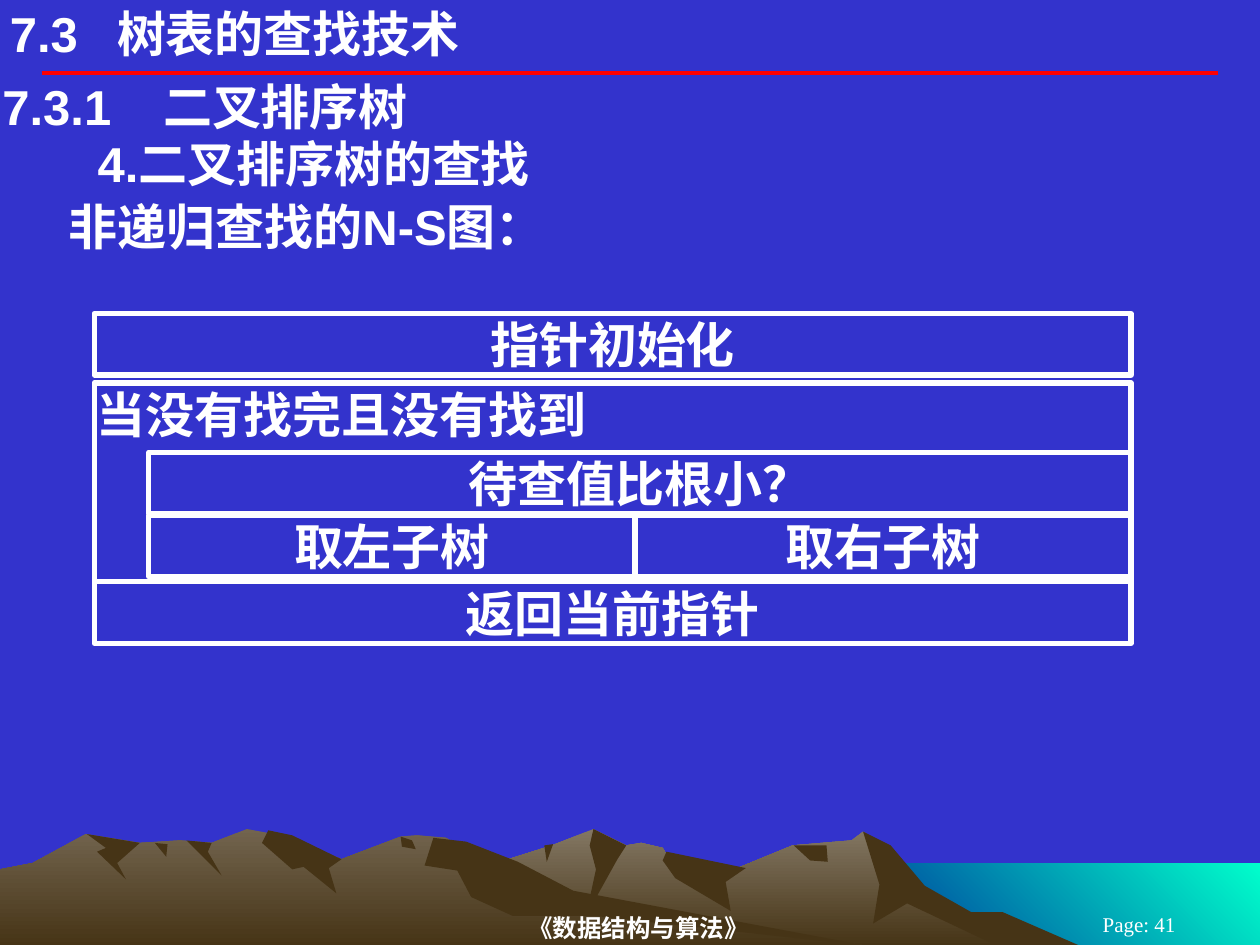
from dataclasses import dataclass
from typing import Optional

import pptx
import pptx.dml.color
import pptx.enum.shapes
import pptx.enum.text
import pptx.oxml.ns
import pptx.shapes.autoshape
import pptx.slide
import pptx.util
from lxml import etree
from pptx.util import Cm

RGBColor = pptx.dml.color.RGBColor
Align = pptx.enum.text.PP_ALIGN
Anchor = pptx.enum.text.MSO_ANCHOR

BLUE = RGBColor.from_string("3333CC")
WHITE = RGBColor.from_string("FFFFFF")
RED = RGBColor.from_string("FF0000")
AQUA = RGBColor.from_string("00FFCC")
NAVY = RGBColor.from_string("003399")
DARK_ROCK = RGBColor.from_string("463416")
GREY_ROCK = RGBColor.from_string("837763")
BROWN_ROCK = RGBColor.from_string("72644E")

LAND_UNIT = Cm(0.0254)  # landscape outlines count in hundredths of an inch
SLIDE_WIDTH = 25.4
ROW_HEIGHT = 1.24
OUTER_LEFT, INNER_LEFT, BRANCH_LEFT, DIAGRAM_RIGHT = 1.9, 3, 12.8, 22.8
LOOP_TOP, RETURN_TOP = 7.72, 11.73


@dataclass
class Land:
    """An outline of the landscape; fades from top_color if one is given."""
    outline: list[tuple[int, int]]
    color: RGBColor = DARK_ROCK
    top_color: Optional[RGBColor] = None
    angle: int = 270


@dataclass
class Label:
    """Text with its place in cm."""
    text: str
    left: float
    top: float
    right: float = DIAGRAM_RIGHT
    height: float = ROW_HEIGHT
    align: Align = Align.CENTER
    anchor: Anchor = Anchor.TOP
    size: int = 28
    font: str = "Arial"
    bold: bool = True
    indent: float = 0
    tab: float = 0
    inset: float = 0.05
    grow: bool = True


LANDSCAPE = [
    Land([(1000, 750), (683, 750), (683, 685), (1000, 685)], NAVY, AQUA, 225),
    Land([(821, 751), (764, 723), (723, 698), (702, 671), (685, 660), (676, 667),
          (629, 671), (566, 697), (536, 690), (526, 673), (509, 669), (497, 671),
          (471, 658), (438, 671), (394, 685), (327, 709), (258, 751)],
         DARK_ROCK, GREY_ROCK),
    Land([(858, 751), (796, 724), (771, 724), (734, 703), (707, 671), (685, 660),
          (698, 702), (693, 733), (720, 717), (792, 751)]),
    Land([(471, 658), (468, 671), (473, 690), (465, 727), (490, 682), (497, 671)]),
    Land([(529, 676), (526, 683), (536, 697), (580, 723), (576, 700), (592, 689)]),
    Land([(656, 671), (630, 671), (643, 683), (657, 684)]),
    Land([(439, 670), (432, 671), (434, 684)]),
    Land([(690, 751), (432, 712), (354, 665), (331, 663), (318, 664), (271, 682),
          (223, 663), (196, 658), (168, 669), (143, 667), (111, 669), (68, 662),
          (26, 685), (0, 690), (0, 751)], DARK_ROCK, BROWN_ROCK),
    Land([(213, 659), (208, 669), (232, 690), (241, 688), (267, 709), (261, 689),
          (271, 682), (232, 663)]),
    Land([(344, 665), (337, 687), (363, 691), (374, 712), (407, 727), (472, 727),
          (690, 751), (455, 707), (411, 684), (370, 668)]),
    Land([(318, 664), (327, 667), (330, 674), (319, 672)]),
    Land([(148, 667), (168, 669), (165, 676), (176, 695)]),
    Land([(123, 669), (133, 670), (132, 680)]),
    Land([(69, 662), (111, 669), (93, 685), (100, 698), (77, 676), (84, 673)]),
]

HEADINGS = [
    Label("7.3\t树表的查找技术", 0.2, 0.08, 16.71, align=Align.LEFT, tab=2.16, inset=0),
    Label("7.3.1\t二叉排序树", 0, 1.52, SLIDE_WIDTH, align=Align.LEFT, tab=3.24),
    Label("4.二叉排序树的查找", 0, 2.67, SLIDE_WIDTH, align=Align.LEFT, indent=1.92),
    Label("非递归查找的N-S图：", 0, 3.94, SLIDE_WIDTH, align=Align.LEFT, indent=1.34),
]

FOOTERS = [
    Label("《数据结构与算法》", 5.18, 18.34, 20.57, 0.71, anchor=Anchor.MIDDLE,
          size=14, font="Times New Roman", inset=0, grow=False),
    Label("Page: 41", 20.96, 18.42, 24.97, 0.43, anchor=Anchor.MIDDLE,
          size=12, font="Times New Roman", bold=False, inset=0.13, grow=False),
]

NS_DIAGRAM = [
    Label("指针初始化", OUTER_LEFT, 6.32),
    Label("当没有找完且没有找到", OUTER_LEFT, LOOP_TOP, height=RETURN_TOP - LOOP_TOP,
          align=Align.LEFT, grow=False),
    Label("待查值比根小？", INNER_LEFT, 9.12),
    Label("取左子树", INNER_LEFT, 10.39, BRANCH_LEFT),
    Label("取右子树", BRANCH_LEFT, 10.39),
    Label("返回当前指针", OUTER_LEFT, RETURN_TOP),
]


def draw_land(slide: pptx.slide.Slide, land: Land) -> None:
    builder = slide.shapes.build_freeform(*land.outline[0], scale=LAND_UNIT)
    builder.add_line_segments(land.outline[1:], close=True)
    shape = builder.convert_to_shape()
    shape.shadow.inherit = False
    shape.line.fill.background()
    if land.top_color is None:
        shape.fill.solid()
        shape.fill.fore_color.rgb = land.color
        return
    shape.fill.gradient()
    shape.fill.gradient_angle = land.angle
    for position, color in enumerate((land.top_color, land.color)):
        stop = shape.fill.gradient_stops[position]
        stop.position = position
        stop.color.rgb = color


def write_label(shape: pptx.shapes.autoshape.Shape, label: Label) -> None:
    frame = shape.text_frame
    frame.word_wrap = True
    frame.vertical_anchor = label.anchor
    frame.margin_left = frame.margin_right = Cm(label.inset)
    frame.margin_top = frame.margin_bottom = Cm(label.inset / 2)
    auto_size = pptx.enum.text.MSO_AUTO_SIZE
    frame.auto_size = auto_size.SHAPE_TO_FIT_TEXT if label.grow else auto_size.NONE
    frame.text = label.text
    paragraph = frame.paragraphs[0]
    paragraph.alignment = label.align
    properties = paragraph._p.get_or_add_pPr()
    if label.indent:
        properties.set("marL", str(Cm(label.indent)))
        properties.set("indent", "0")
    if label.tab:
        tabs = etree.SubElement(properties, pptx.oxml.ns.qn("a:tabLst"))
        etree.SubElement(tabs, pptx.oxml.ns.qn("a:tab"), pos=str(Cm(label.tab)), algn="l")
    for run in paragraph.runs:
        run.font.name = label.font
        run.font.size = pptx.util.Pt(label.size)
        run.font.bold = label.bold
        run.font.color.rgb = WHITE


def draw_label(slide: pptx.slide.Slide, label: Label, framed: bool = False) -> None:
    place = [Cm(length) for length in
             (label.left, label.top, label.right - label.left, label.height)]
    if framed:
        shape = slide.shapes.add_shape(pptx.enum.shapes.MSO_SHAPE.RECTANGLE, *place)
        shape.shadow.inherit = False
        shape.fill.background()
        shape.line.color.rgb = WHITE
        shape.line.width = pptx.util.Pt(3)
    else:
        shape = slide.shapes.add_textbox(*place)
    write_label(shape, label)


def draw_title_rule(slide: pptx.slide.Slide) -> None:
    margin, top = Cm(0.84), Cm(1.47)
    rule = slide.shapes.add_connector(pptx.enum.shapes.MSO_CONNECTOR.STRAIGHT,
                                      margin, top, Cm(SLIDE_WIDTH) - margin, top)
    rule.line.color.rgb = RED
    rule.line.width = pptx.util.Pt(2.25)
    etree.SubElement(rule._element.spPr, pptx.oxml.ns.qn("a:effectLst"))


def main() -> None:
    deck = pptx.Presentation()
    deck.slide_width, deck.slide_height = Cm(SLIDE_WIDTH), Cm(19.05)
    slide = deck.slides.add_slide(deck.slide_layouts[6])
    slide.background.fill.solid()
    slide.background.fill.fore_color.rgb = BLUE
    for land in LANDSCAPE:
        draw_land(slide, land)
    draw_title_rule(slide)
    for label in FOOTERS + HEADINGS:
        draw_label(slide, label)
    for step in NS_DIAGRAM:
        draw_label(slide, step, framed=True)
    deck.save("out.pptx")


if __name__ == "__main__":
    main()
